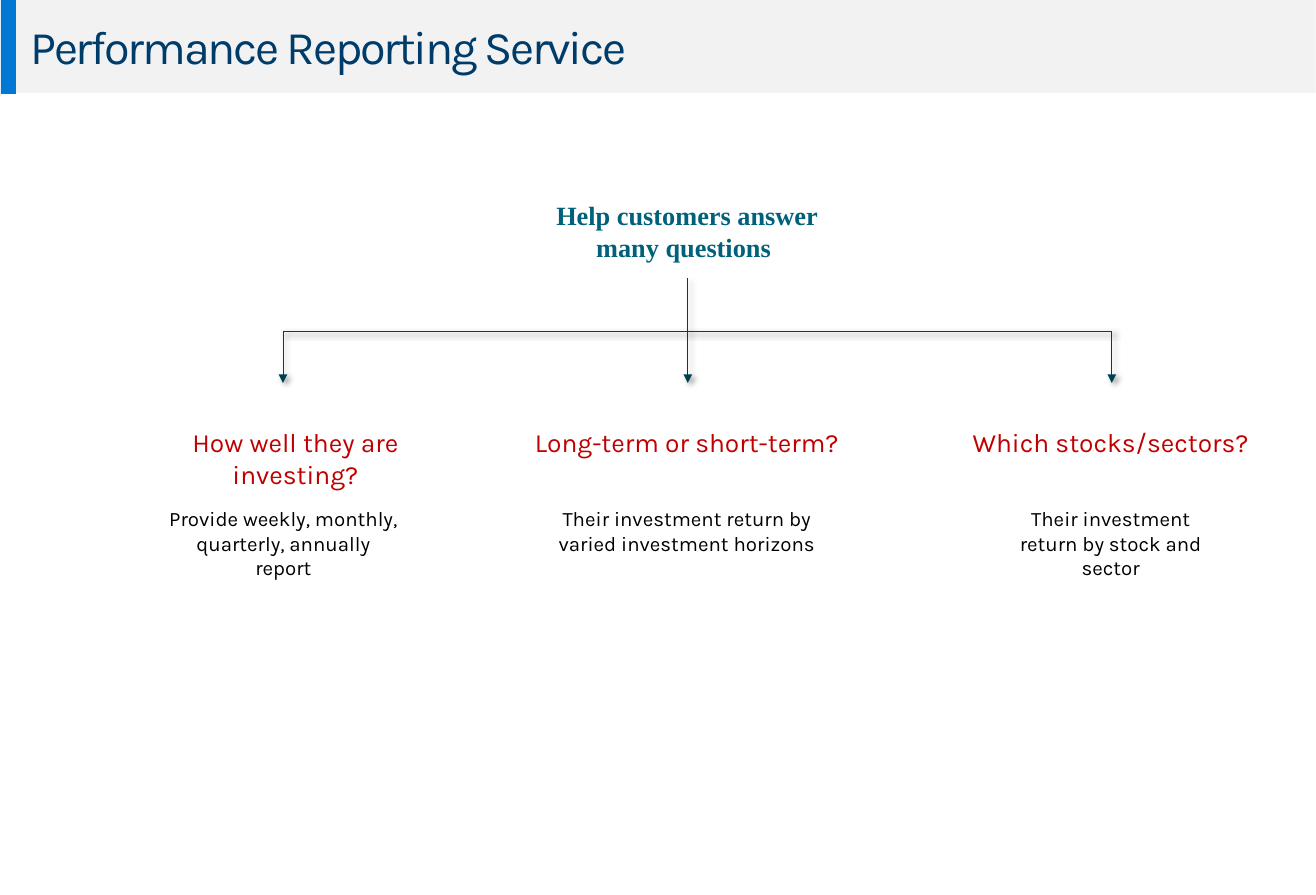
from lxml import etree
from pptx import Presentation
from pptx.dml.color import RGBColor
from pptx.enum.shapes import MSO_CONNECTOR, MSO_SHAPE
from pptx.enum.text import MSO_AUTO_SIZE, PP_ALIGN
from pptx.oxml import parse_xml
from pptx.oxml.ns import nsdecls, qn
from pptx.util import Inches, Pt

PIXEL = Inches(1) / 105.3
COLORS = {
    "band": "F2F2F2", "accent": "0078D4", "title": "003C6A", "goal": "00617B",
    "line": "003F50", "question": "C00000", "answer": "000000",
}
SHADOW = (
    f'<a:effectLst {nsdecls("a")}><a:outerShdw blurRad="50800" dist="38100" '
    'dir="2700000" algn="tl" rotWithShape="0"><a:srgbClr val="000000">'
    '<a:alpha val="40000"/></a:srgbClr></a:outerShdw></a:effectLst>'
)

deck = Presentation()
deck.slide_width, deck.slide_height = Inches(12.5), Inches(8.5)
page = deck.slides.add_slide(deck.slide_layouts[6])


def add_text(text, bounds, color, size, font="Karla", align=PP_ALIGN.CENTER, after=0):
    """Add a wrapping one-paragraph text box and return its run."""
    box = page.shapes.add_textbox(*[round(value * PIXEL) for value in bounds])
    frame = box.text_frame
    frame.text = text
    frame.word_wrap = True
    frame.auto_size = MSO_AUTO_SIZE.SHAPE_TO_FIT_TEXT
    para = frame.paragraphs[0]
    para.alignment = align
    para.space_after = Pt(after)
    span = para.runs[0]
    span.font.name = font
    span.font.size = Pt(size)
    span.font.color.rgb = RGBColor.from_string(COLORS[color])
    return span


def add_line(start, end, arrow=False):
    """Add a thin shadowed line, with an optional arrowhead at its start."""
    points = [round(value * PIXEL) for value in (*start, *end)]
    line = page.shapes.add_connector(MSO_CONNECTOR.STRAIGHT, *points)
    line.line.color.rgb = RGBColor.from_string(COLORS["line"])
    line.line.width = Pt(0.5)
    if arrow:
        outline = line.line._get_or_add_ln()
        etree.SubElement(outline, qn("a:headEnd"), type="triangle")
    line._element.spPr.append(parse_xml(SHADOW))


# Header
for color, bounds in (("band", (16, -1, 1300, 94)), ("accent", (1, 0, 15, 94))):
    bar = page.shapes.add_shape(
        MSO_SHAPE.RECTANGLE, *[round(value * PIXEL) for value in bounds])
    bar.shadow.inherit = False
    bar.fill.solid()
    bar.fill.fore_color.rgb = RGBColor.from_string(COLORS[color])
    bar.line.fill.background()

title = add_text("Performance Reporting Service", (20, 13, 734, 67), "title", 32,
                 align=PP_ALIGN.LEFT)
title.font._element.set("spc", "-150")

# Goal at the top of the tree
goal = add_text("Help customers answer many questions ", (520, 194, 334, 75),
                "goal", 18, font="Times New Roman", after=6)
goal.font.bold = True

# Branches
STEM_TOP, BRANCH_Y, ARROW_TIP = 278, 331, 383
LEFT_X, MIDDLE_X, RIGHT_X = 283, 688, 1112
add_line((MIDDLE_X, BRANCH_Y), (MIDDLE_X, STEM_TOP))
add_line((LEFT_X, BRANCH_Y), (RIGHT_X, BRANCH_Y))

# Per branch: arrow x, question with left and width, answer with left and width
branches = [
    (LEFT_X, "How well they are investing?", 116, 359,
     "Provide weekly, monthly, quarterly, annually report", 158, 251),
    (MIDDLE_X, "Long-term or short-term?", 514, 346,
     "Their investment return by varied investment horizons", 525, 324),
    (RIGHT_X, "Which stocks/sectors?", 938, 346,
     "Their investment return by stock and sector", 991, 240),
]
for x, question, question_x, question_w, answer, answer_x, answer_w in branches:
    add_line((x, ARROW_TIP), (x, BRANCH_Y), arrow=True)
    add_text(question, (question_x, 421, question_w, 42), "question", 18, after=12)
    add_text(answer, (answer_x, 501, answer_w, 60), "answer", 14)

deck.save("out.pptx")
